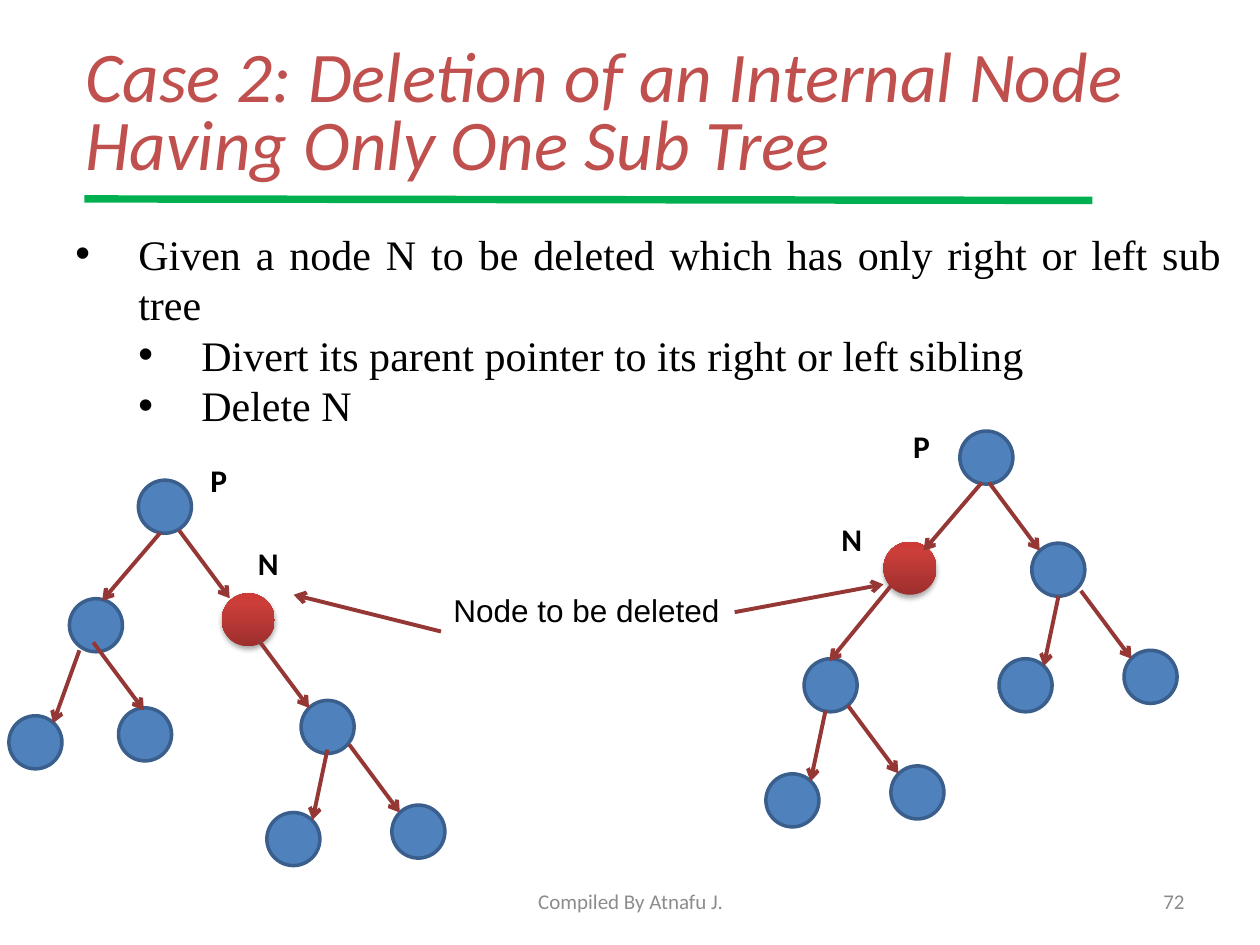
from dataclasses import dataclass

from pptx import Presentation
from pptx.dml.color import RGBColor
from pptx.enum.shapes import MSO_CONNECTOR, MSO_SHAPE
from pptx.enum.text import MSO_ANCHOR, PP_ALIGN
from pptx.oxml import parse_xml
from pptx.oxml.ns import nsdecls, qn
from pptx.util import Cm, Pt

COLORS = {
    "node": "4F81BD", "node_line": "3A5F8C", "arrow": "953735", "title": "C0504D",
    "rule": "00B050", "text": "000000", "footer": "8C8C8C",
    "deleted_dark": "9C2F2D", "deleted_mid": "CB3E3A", "deleted_light": "CE3B37",
}
DIAMETER = 1.07
LEFT, RIGHT, STEEP = (-1.17, 1.37), (1.02, 1.37), (-0.3, 1.42)


@dataclass
class Node:
    x: float
    y: float
    deleted: bool = False


@dataclass
class Arrow:
    x: float
    y: float
    step: tuple[float, float]


@dataclass
class Label:
    lines: list[str]
    x: float
    y: float
    w: float
    h: float
    size: float
    font: str = "Calibri"
    color: str = "text"
    bold: bool = False
    italic: bool = False
    wrap: bool = True
    align: PP_ALIGN = PP_ALIGN.LEFT
    anchor: MSO_ANCHOR = MSO_ANCHOR.TOP
    spacing: float | None = None
    bullets: bool = False


NODES = [
    Node(19.35, 8.69), Node(20.8, 10.95), Node(17.81, 10.92, True), Node(22.66, 13.11),
    Node(20.14, 13.28), Node(16.21, 13.28), Node(17.96, 15.44), Node(15.44, 15.6),
    Node(2.79, 9.68), Node(4.47, 11.96, True), Node(6.07, 14.12), Node(2.39, 14.27),
    Node(1.4, 12.07), Node(0.18, 14.43), Node(7.9, 16.23), Node(5.38, 16.38),
]
ARROWS = [
    Arrow(19.79, 9.73, LEFT), Arrow(19.94, 9.73, RIGHT), Arrow(21.79, 11.91, RIGHT),
    Arrow(21.34, 12.01, STEEP), Arrow(17.96, 11.81, (-1.24, 1.52)),
    Arrow(17.09, 14.22, RIGHT), Arrow(16.64, 14.33, STEEP),
    Arrow(3.23, 10.74, LEFT), Arrow(3.61, 10.69, RIGHT), Arrow(5.21, 12.9, RIGHT),
    Arrow(1.88, 12.95, RIGHT), Arrow(1.6, 13.11, (-0.53, 1.47)),
    Arrow(7.04, 15.01, RIGHT), Arrow(6.6, 15.11, STEEP),
    Arrow(14.81, 12.34, (3, -0.56)), Arrow(8.89, 12.73, (-2.97, -0.74)),
]
LETTERS = [("P", 3.99, 9.17), ("N", 4.95, 10.85), ("P", 18.16, 8.48), ("N", 16.71, 10.36)]
LABELS = [
    Label(["Case 2: Deletion of an Internal Node Having Only One Sub Tree"],
          1.47, 0.84, 22.86, 3.18, 40.7, color="title", italic=True, spacing=0.8),
    Label(["Given a node N to be deleted which has only right or left sub tree",
           "Divert its parent pointer to its right or left sibling", "Delete N"],
          1.27, 4.45, 23.6, 4.37, 24, "Times New Roman", align=PP_ALIGN.JUSTIFY,
          anchor=MSO_ANCHOR.MIDDLE, bullets=True),
    Label(["Node to be deleted"], 8.89, 11.79, 5.89, 1.02, 18, "Arial"),
    *[Label([letter], x, y, 0.95, 1.02, 18, bold=True, wrap=False) for letter, x, y in LETTERS],
    Label(["Compiled By Atnafu J."], 8.69, 17.65, 8.05, 1.02, 12, color="footer",
          align=PP_ALIGN.CENTER, anchor=MSO_ANCHOR.MIDDLE),
    Label(["72"], 18.21, 17.65, 5.92, 1.02, 12, color="footer",
          align=PP_ALIGN.RIGHT, anchor=MSO_ANCHOR.MIDDLE),
]


def rgb(name: str) -> RGBColor:
    """Look up a palette colour."""
    return RGBColor.from_string(COLORS[name])


def style_deleted(sp) -> None:
    """Give a node the red gradient and soft shadow of the deleted node."""
    sp.line.fill.background()
    stops = [(0, "deleted_dark"), (80, "deleted_mid"), (100, "deleted_light")]
    gs = "".join(f'<a:gs pos="{pos * 1000}"><a:srgbClr val="{COLORS[name]}"/></a:gs>'
                 for pos, name in stops)
    spPr = sp._element.spPr
    spPr.find(qn("a:prstGeom")).addnext(parse_xml(
        f'<a:gradFill {nsdecls("a")} rotWithShape="1"><a:gsLst>{gs}</a:gsLst>'
        '<a:lin ang="16200000" scaled="0"/></a:gradFill>'))
    spPr.append(parse_xml(
        f'<a:effectLst {nsdecls("a")}><a:outerShdw blurRad="{Pt(3.1)}" dist="{Pt(1.8)}" '
        f'dir="5400000" rotWithShape="0"><a:srgbClr val="{COLORS["text"]}">'
        '<a:alpha val="35000"/></a:srgbClr></a:outerShdw></a:effectLst>'))


def add_node(s, node: Node) -> None:
    """Draw one tree node."""
    sp = s.shapes.add_shape(MSO_SHAPE.OVAL, Cm(node.x), Cm(node.y), Cm(DIAMETER), Cm(DIAMETER))
    if node.deleted:
        style_deleted(sp)
        return
    sp.shadow.inherit = False
    sp.fill.solid()
    sp.fill.fore_color.rgb = rgb("node")
    sp.line.color.rgb = rgb("node_line")
    sp.line.width = Pt(2)


def add_line(s, line: Arrow, color: str, width: float, head: bool = True) -> None:
    """Draw a straight line, with an arrowhead at its end if asked."""
    dx, dy = line.step
    c = s.shapes.add_connector(MSO_CONNECTOR.STRAIGHT, Cm(line.x), Cm(line.y),
                               Cm(line.x + dx), Cm(line.y + dy))
    c.line.color.rgb = rgb(color)
    c.line.width = Pt(width)
    if head:
        c.line._get_or_add_ln().append(parse_xml(f'<a:tailEnd {nsdecls("a")} type="arrow"/>'))
    c._element.spPr.append(parse_xml(f'<a:effectLst {nsdecls("a")}/>'))


def add_bullet(p, level: int) -> None:
    """Indent a paragraph and give it a round bullet."""
    p.level = level
    pPr = p._p.get_or_add_pPr()
    pPr.set("marL", str(Cm(1.27 * (level + 1))))
    pPr.set("indent", str(-Cm(1.27)))
    pPr.append(parse_xml(f'<a:buFont {nsdecls("a")} typeface="Arial"/>'))
    pPr.append(parse_xml(f'<a:buChar {nsdecls("a")} char="•"/>'))


def add_label(s, label: Label) -> None:
    """Draw one text box."""
    tf = s.shapes.add_textbox(Cm(label.x), Cm(label.y), Cm(label.w), Cm(label.h)).text_frame
    tf.word_wrap = label.wrap
    tf.vertical_anchor = label.anchor
    tf.text = "\n".join(label.lines)
    for i, p in enumerate(tf.paragraphs):
        p.alignment = label.align
        if label.spacing:
            p.line_spacing = label.spacing
        if label.bullets:
            add_bullet(p, min(i, 1))
        for r in p.runs:
            r.font.name = label.font
            r.font.size = Pt(label.size)
            r.font.bold = label.bold
            r.font.italic = label.italic
            r.font.color.rgb = rgb(label.color)


def main() -> None:
    """Build the slide and save it."""
    prs = Presentation()
    prs.slide_width, prs.slide_height = Cm(25.4), Cm(19.05)
    s = prs.slides.add_slide(prs.slide_layouts[6])
    add_line(s, Arrow(1.7, 4.01, (20.32, 0.03)), "rule", 4.25, head=False)
    for node in NODES:
        add_node(s, node)
    for arrow in ARROWS:
        add_line(s, arrow, "arrow", 2.25)
    for label in LABELS:
        add_label(s, label)
    prs.save("out.pptx")


if __name__ == "__main__":
    main()
